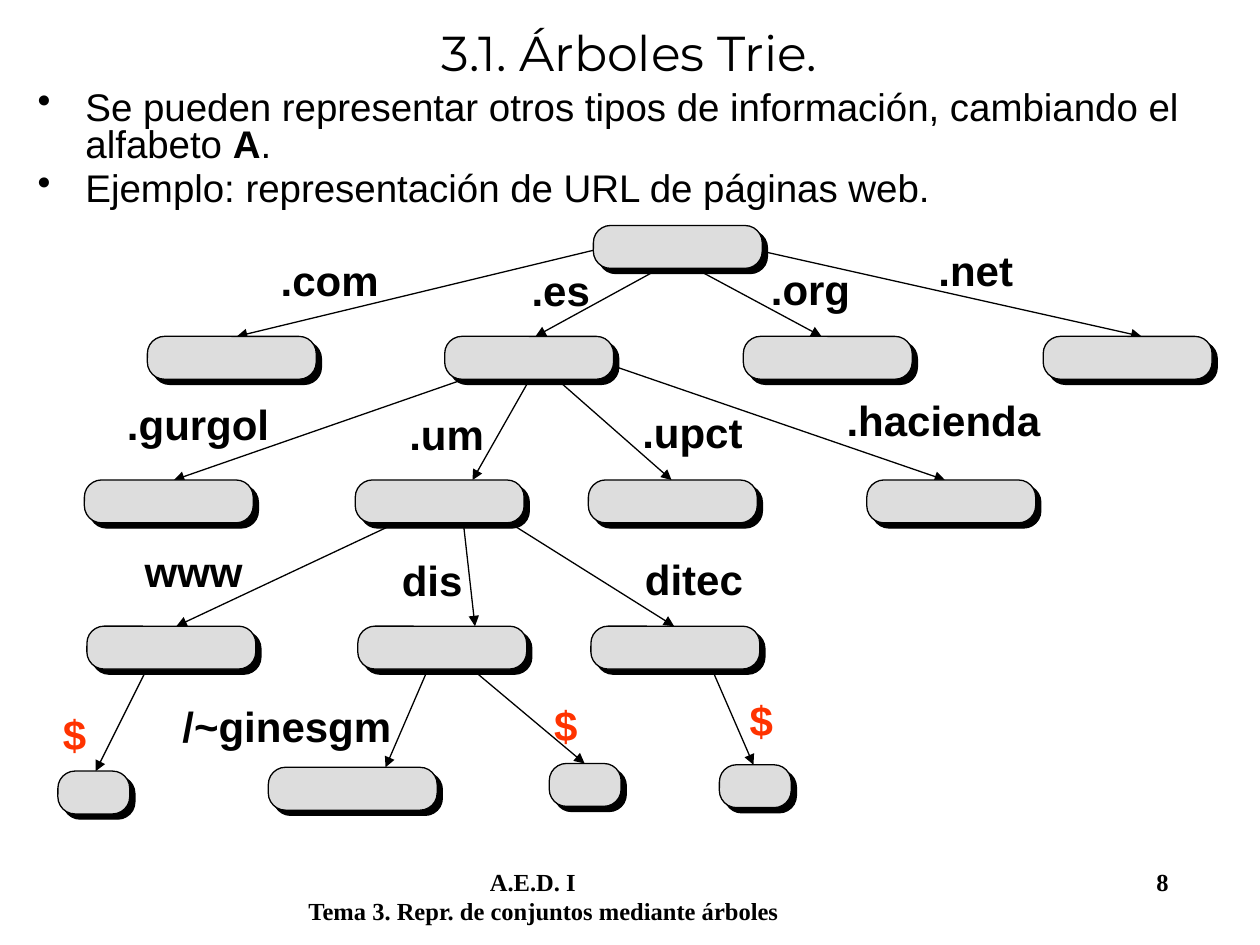
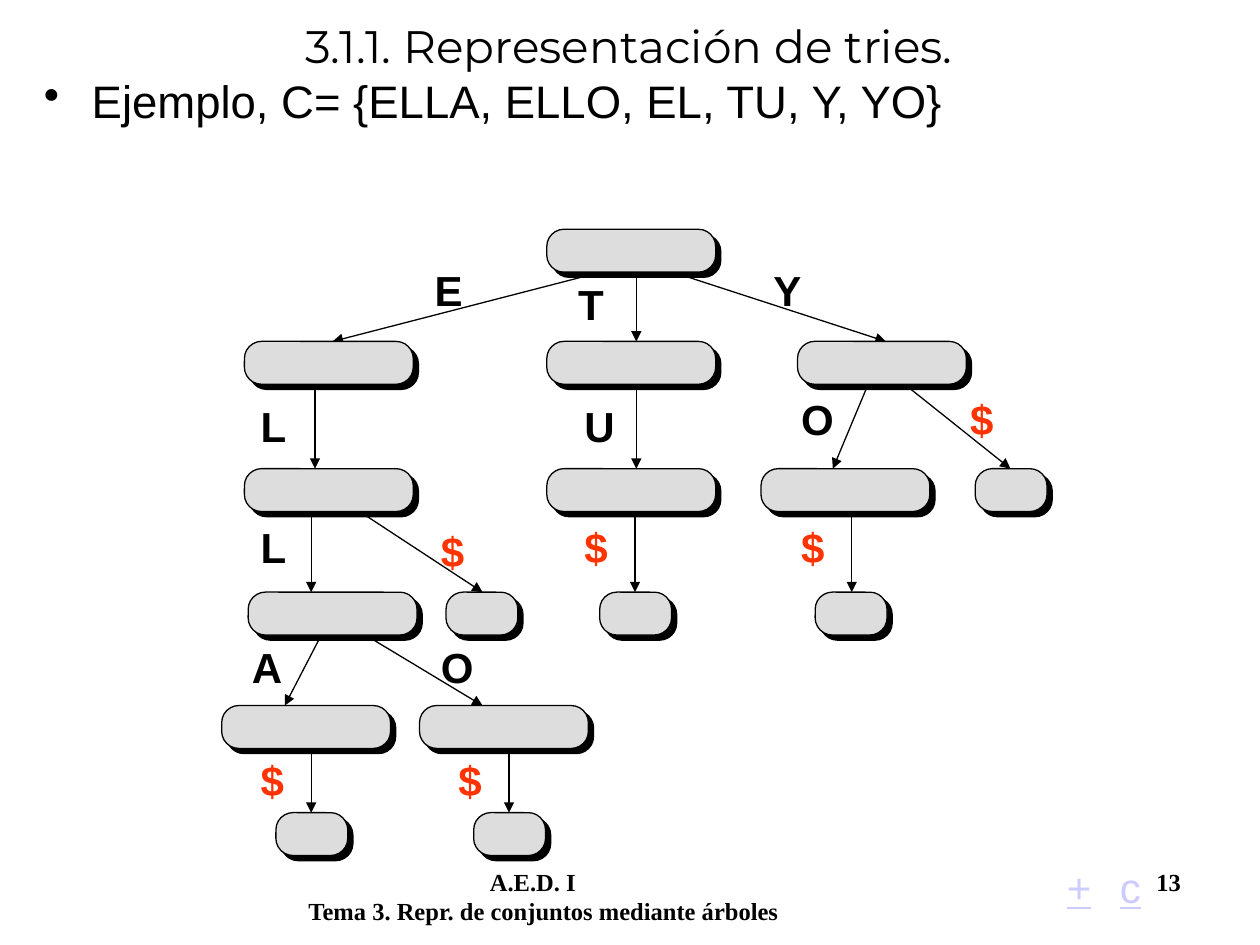
from dataclasses import dataclass

from lxml.etree import SubElement as Sub
from pptx import Presentation
from pptx.dml.color import RGBColor as Rgb
from pptx.enum.shapes import MSO_CONNECTOR as Line, MSO_SHAPE as Form
from pptx.enum.text import MSO_ANCHOR as Anchor, PP_ALIGN as Align
from pptx.oxml.ns import qn
from pptx.util import Emu, Pt


@dataclass(frozen=True)
class Theme:
    ink: str = "000000"
    grey: str = "DDDDDD"
    red: str = "FF3300"
    pale: str = "CCCCFF"
    sans: str = "Arial"
    head: str = "Montserrat"
    serif: str = "Times New Roman"
    label: int = 24
    foot: int = 14
    rule: float = 0.75
    drop: float = 4.2


@dataclass(frozen=True)
class Level:
    """One row of nodes and the arrows that reach it.

    A link is (label, left, top, width, start x, start y, end x).
    """
    top: int
    wide: tuple = ()
    small: tuple = ()
    links: tuple = ()


THEME = Theme()
SCALE = 9144  # EMU per px, 100 px to the inch
WIDE, SMALL, TALL = 134, 57, 34


def px(*sizes):
    return [Emu(size * SCALE) for size in sizes]


# Text
def style(para, font, size, color=THEME.ink, bold=False, line=False):
    for run in para.runs:
        run.font.name, run.font.size = font, Pt(size)
        run.font.bold, run.font.underline = bold, line
        run.font.color.rgb = Rgb.from_string(color)


def add_text(shapes, box, text, *look, wrap=True, **more):
    frame = shapes.add_textbox(*px(*box)).text_frame
    frame.word_wrap = wrap
    frame.text = text
    for para in frame.paragraphs:
        style(para, *look, **more)
    return frame


def add_title(slide, text, size, tall):
    frame = add_text(slide.shapes, (33, 0, 933, tall), text, THEME.head, size)
    frame.vertical_anchor = Anchor.MIDDLE
    frame.paragraphs[0].alignment = Align.CENTER


def add_points(slide, box, points, size, pitch=1.0):
    """Bulleted text; text between asterisks is bold."""
    plain = "\n".join(points).replace("*", "")
    frame = add_text(slide.shapes, box, plain, THEME.sans, size)
    for para, point in zip(frame.paragraphs, points):
        para.line_spacing, para.space_before = pitch, Pt(size * 0.2)
        parts = point.split("*")
        para.runs[0].text = parts[0]
        for part in parts[1:]:
            para.add_run().text = part
        style(para, THEME.sans, size)
        for run in para.runs[1::2]:
            run.font.bold = True
        props = para._p.get_or_add_pPr()
        inset = px(38)[0]
        props.set("marL", str(inset))
        props.set("indent", str(-inset))
        Sub(props, qn("a:buChar"), char="•")


def add_foot(slide, number):
    text = f"\tA.E.D. I\t{number}\nTema 3. Repr. de conjuntos mediante árboles"
    frame = add_text(slide.shapes, (235, 683, 740, 50), text,
                     THEME.serif, THEME.foot, bold=True)
    stops = Sub(frame.paragraphs[0]._p.get_or_add_pPr(), qn("a:tabLst"))
    for stop in px(144, 673):
        Sub(stops, qn("a:tab"), pos=str(stop), algn="l")


# Tree
def add_node(shapes, left, top, width):
    node = shapes.add_shape(Form.ROUNDED_RECTANGLE, *px(left, top, width, TALL))
    node.adjustments[0] = 0.4
    node.fill.solid()
    node.fill.fore_color.rgb = Rgb.from_string(THEME.grey)
    node.line.color.rgb = Rgb.from_string(THEME.ink)
    node.line.width = Pt(THEME.rule)
    node.shadow.inherit = False
    fx = node._element.spPr.find(qn("a:effectLst"))
    drop = Sub(fx, qn("a:outerShdw"), dist=str(Pt(THEME.drop)),
               dir="2700000", algn="ctr", rotWithShape="0")
    Sub(drop, qn("a:srgbClr"), val=THEME.ink)


def add_arrow(shapes, *ends):
    arrow = shapes.add_connector(Line.STRAIGHT, *px(*ends))
    arrow.line.color.rgb = Rgb.from_string(THEME.ink)
    arrow.line.width = Pt(THEME.rule)
    Sub(arrow.line._get_or_add_ln(), qn("a:tailEnd"), type="triangle")
    Sub(arrow._element.spPr, qn("a:effectLst"))


def add_tree(shapes, levels):
    # Arrows lie behind the nodes
    for level in levels:
        for label, left, top, width, *start, end in level.links:
            add_arrow(shapes, *start, end, level.top)
            color = THEME.red if label == "$" else THEME.ink
            add_text(shapes, (left, top, width, 45), label,
                     THEME.sans, THEME.label, color, bold=True)
    for level in levels:
        for width, lefts in ((WIDE, level.wide), (SMALL, level.small)):
            for left in lefts:
                add_node(shapes, left, level.top, width)


URLS = (
    Level(179, wide=(471,)),
    Level(267, wide=(117, 353, 590, 828), links=(
        (".com", 213, 197, 113, 486, 195, 188),
        (".es", 412, 205, 85, 531, 209, 425),
        (".org", 602, 204, 116, 531, 202, 652),
        (".net", 735, 189, 116, 594, 197, 906))),
    Level(381, wide=(67, 282, 467, 688), links=(
        (".gurgol", 91, 311, 147, 397, 291, 138),
        (".um", 315, 319, 85, 421, 300, 375),
        (".upct", 500, 318, 116, 434, 294, 533),
        (".hacienda", 662, 308, 178, 468, 284, 750))),
    Level(497, wide=(69, 284, 469), links=(
        ("www", 105, 428, 147, 338, 404, 140),
        ("dis", 309, 435, 85, 367, 408, 377),
        ("ditec", 502, 434, 116, 379, 399, 535))),
    Level(612, small=(46,), links=(("$", 40, 557, 85, 116, 532, 76),)),
    Level(609, wide=(213,),
          links=(("/~ginesgm", 135, 551, 187, 344, 521, 306),)),
    Level(606, small=(436,), links=(("$", 430, 550, 85, 365, 523, 464),)),
    Level(607, small=(571,), links=(("$", 585, 546, 85, 565, 531, 598),)),
)

WORDS = (
    Level(182, wide=(434,)),
    Level(271, wide=(194, 434, 633), links=(
        ("E", 335, 205, 85, 477, 216, 264),
        ("T", 449, 216, 85, 505, 216, 505),
        ("Y", 604, 205, 85, 534, 216, 703))),
    Level(372, wide=(194, 434, 604), small=(774,), links=(
        ("L", 197, 313, 85, 250, 305, 250),
        ("U", 454, 313, 85, 505, 305, 505),
        ("O", 626, 307, 85, 689, 305, 661),
        ("$", 760, 307, 85, 718, 305, 802))),
    Level(470, wide=(197,), small=(354, 476, 647), links=(
        ("L", 197, 409, 85, 247, 409, 247),
        ("$", 340, 412, 85, 290, 409, 383),
        ("$", 454, 409, 85, 504, 409, 504),
        ("$", 626, 409, 85, 676, 409, 676))),
    Level(560, wide=(176, 333), links=(
        ("A", 190, 504, 85, 255, 504, 226),
        ("O", 340, 504, 85, 290, 504, 383))),
    Level(645, small=(219, 376), links=(
        ("$", 197, 594, 85, 247, 594, 247),
        ("$", 354, 594, 85, 404, 594, 404))),
)


def new_slide(deck, number, title, size, tall):
    slide = deck.slides.add_slide(deck.slide_layouts[6])
    add_foot(slide, number)
    add_title(slide, title, size, tall)
    return slide


def main():
    deck = Presentation()
    deck.slide_width, deck.slide_height = px(1000, 750)

    # URL trie
    slide = new_slide(deck, 8, "3.1. Árboles Trie.", 28, 83)
    add_points(slide, (20, 68, 942, 110), (
        "Se pueden representar otros tipos de información, "
        "cambiando el alfabeto *A*.",
        "Ejemplo: representación de URL de páginas web."), 22, 0.8)
    add_tree(slide.shapes, URLS)

    # Word trie
    slide = new_slide(deck, 13, "3.1.1. Representación de tries.", 26, 72)
    add_points(slide, (25, 53, 877, 81),
               ("Ejemplo, C= {ELLA, ELLO, EL, TU, Y, YO}",), 26)
    add_tree(slide.shapes.add_group_shape().shapes, WORDS)
    for mark, left, width in (("+", 837, 40), ("c", 879, 37)):
        add_text(slide.shapes, (left, 679, width, 50), mark, THEME.sans,
                 THEME.label, THEME.pale, line=True, wrap=False)

    deck.save("out.pptx")


if __name__ == "__main__":
    main()
